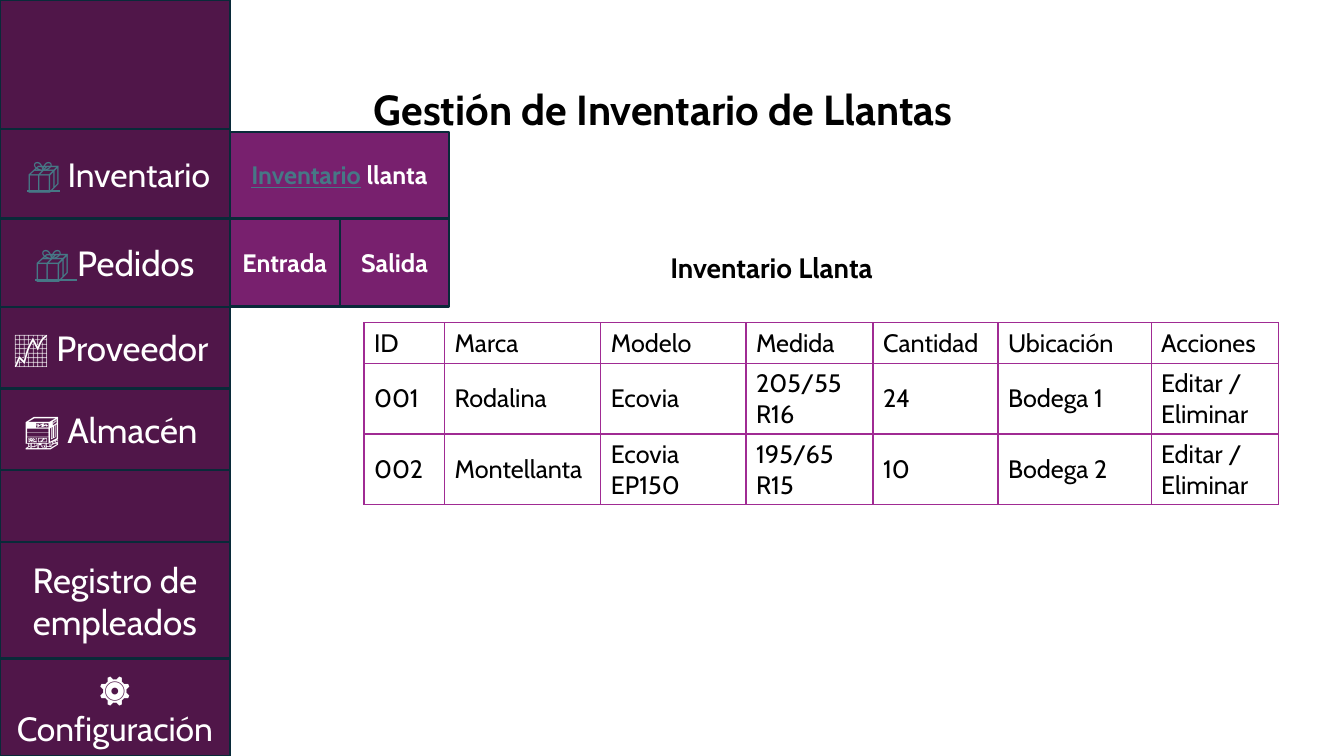
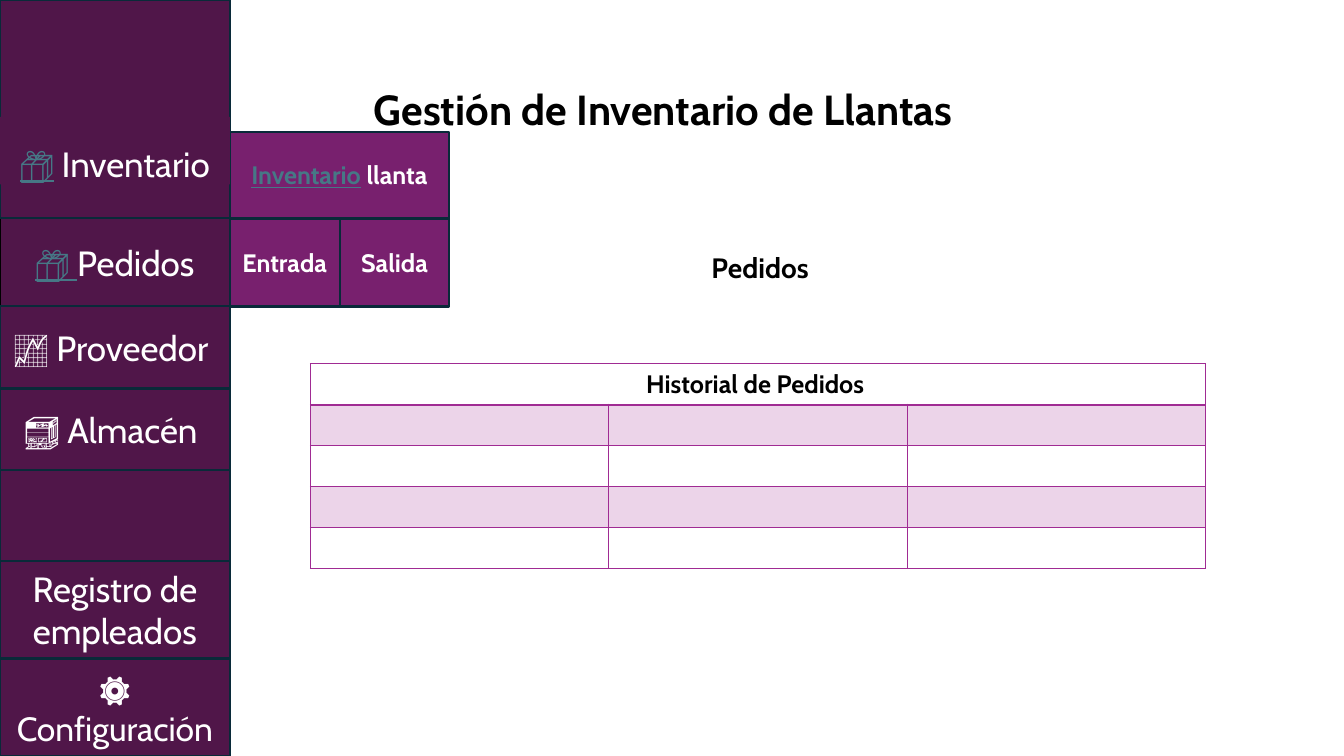
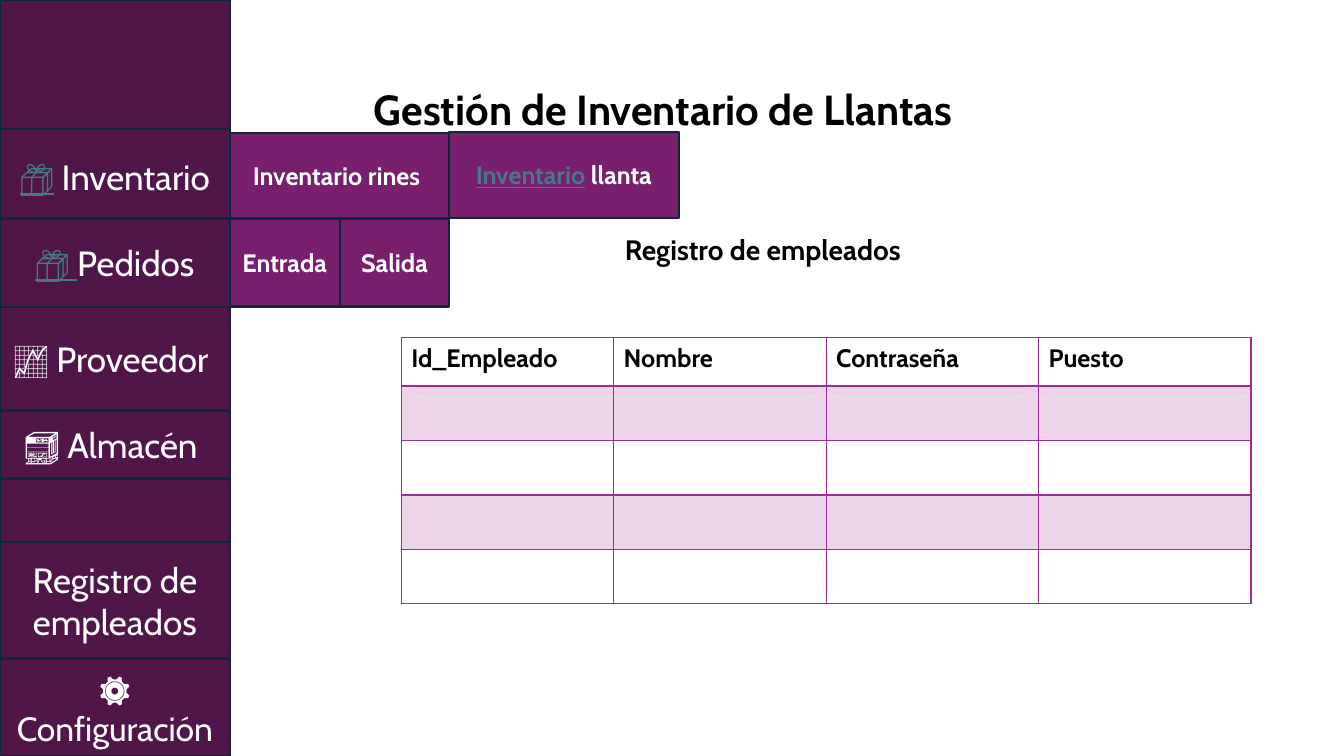
import lxml.etree
import pptx
import pptx.dml.color
import pptx.enum.shapes
import pptx.enum.text
import pptx.oxml.ns
import pptx.util

RGB = pptx.dml.color.RGBColor
Pt = pptx.util.Pt
qn = pptx.oxml.ns.qn
ALIGN = pptx.enum.text.PP_ALIGN
ANCHOR = pptx.enum.text.MSO_ANCHOR
GROW = pptx.enum.text.MSO_AUTO_SIZE.SHAPE_TO_FIT_TEXT
RECT = pptx.enum.shapes.MSO_SHAPE.RECTANGLE

BLACK = RGB(0x00, 0x00, 0x00)
WHITE = RGB(0xFF, 0xFF, 0xFF)
PLUM = RGB(0x50, 0x16, 0x49)
GRAPE = RGB(0x78, 0x20, 0x6E)
NAVY = RGB(0x09, 0x2A, 0x39)
TEAL = RGB(0x46, 0x78, 0x86)
PINK = RGB(0xA0, 0x2B, 0x93)

FACE = "Cabin"
TITLE = {"size": Pt(30), "bold": True, "color": BLACK}
HEAD = {"size": Pt(20), "bold": True, "color": BLACK}
CELL = {"size": Pt(18), "bold": False, "color": BLACK}
LABEL = {**CELL, "bold": True}
MENU = {"size": Pt(25), "color": WHITE}
SMALL = {**MENU, "size": Pt(24)}
LINK = {**MENU, "color": TEAL, "underline": True}
TAB = {"size": Pt(18), "bold": True, "color": WHITE}
TABLINK = {**TAB, "color": TEAL, "underline": True}

# All lengths are percent of the slide's width or height.
SIDE = 17.1
BOX = [("📦", LINK), (" Inventario", MENU)]
TIRE = [("Inventario", TABLINK), (" llanta", TAB)]
ORDERS = [("📦 ", LINK), ("Pedidos", MENU)]
VENDOR = [("📈 Proveedor ", MENU)]
STORE = [("🏬 Almacén ", MENU)]
STAFF = [("Registro de empleados", MENU)]
SETUP = [("⚙️ ", MENU), ("Configuración", SMALL)]


class Deck:
    def __init__(self):
        self.file = pptx.Presentation()
        self.file.slide_width = pptx.util.Inches(13.33)
        self.file.slide_height = pptx.util.Inches(7.5)
        self.page = None

    def wide(self, share):
        return round(self.file.slide_width * share / 100)

    def high(self, share):
        return round(self.file.slide_height * share / 100)

    def area(self, left, top, width, height):
        return self.wide(left), self.high(top), self.wide(width), self.high(height)

    def fill(self, frame, runs, align=ALIGN.LEFT, space=None):
        frame.word_wrap = True
        par = frame.paragraphs[0]
        par.alignment = align
        if space:
            par.line_spacing = space
        for text, form in runs:
            run = par.add_run()
            run.text = text
            run.font.name = FACE
            for name, value in form.items():
                if name == "color":
                    run.font.color.rgb = value
                else:
                    setattr(run.font, name, value)

    def text(self, area, runs, **form):
        box = self.page.shapes.add_textbox(*self.area(*area))
        self.fill(box.text_frame, runs, **form)
        box.text_frame.auto_size = GROW
        return box

    def block(self, area, runs=(), color=PLUM, line=NAVY):
        box = self.page.shapes.add_shape(RECT, *self.area(*area))
        box.shadow.inherit = False
        box.fill.solid()
        box.fill.fore_color.rgb = color
        box.line.color.rgb = line
        box.line.width = Pt(1.5)
        box.text_frame.vertical_anchor = ANCHOR.MIDDLE
        self.fill(box.text_frame, runs, ALIGN.CENTER)

    def tab(self, area, runs):
        self.block(area, runs, GRAPE)

    def start(self, first, edges, staff, rim=NAVY):
        """Open a slide with its title, side menu and the two order tabs."""
        self.page = self.file.slides.add_slide(self.file.slide_layouts[6])
        self.text((27.08, 10.4, 47.7, 8.13), [("Gestión de Inventario de Llantas", TITLE)])
        self.block((0, 0, SIDE, 100))
        a, b, c, d, e = edges
        rows = [(b, c, ORDERS, rim), (c, d, VENDOR, NAVY), (d, e, STORE, NAVY),
                (staff, 87.1, STAFF, NAVY), (87.1, 100, SETUP, NAVY), (a, b, first, NAVY)]
        for top, end, runs, line in rows:
            self.block((0, top, SIDE, end - top), runs, line=line)
        for col, name in enumerate(("Entrada", "Salida")):
            self.tab((SIDE + 8.17 * col, 28.9, 8.17, 11.65), [(name, TAB)])

    def entry(self, top):
        """Place the inventory entry as a text box of its own."""
        return self.text((0, top, SIDE, 8.93), BOX, align=ALIGN.CENTER, space=1.5)

    def edge(self, cell, widths):
        for side, width in zip("LRTB", widths):
            line = lxml.etree.SubElement(cell._tc.get_or_add_tcPr(), qn(f"a:ln{side}"), w=str(Pt(width)))
            solid = lxml.etree.SubElement(line, qn("a:solidFill"))
            lxml.etree.SubElement(solid, qn("a:srgbClr"), val=str(PINK))

    def shade(self, cell, tinted):
        if not tinted:
            cell.fill.background()
            return
        cell.fill.solid()
        cell.fill.fore_color.rgb = PINK
        tint = cell._tc.tcPr.find(qn("a:solidFill"))[0]
        lxml.etree.SubElement(tint, qn("a:alpha"), val="20000")

    def table(self, left, top, cols, rows, data, form=CELL, anchor=ANCHOR.TOP,
              align=ALIGN.LEFT, band=True):
        """Draw a table; band tints odd rows and thickens the header rule."""
        area = self.area(left, top, sum(cols), sum(rows))
        grid = self.page.shapes.add_table(len(rows), len(cols), *area).table
        grid.first_row = grid.horz_banding = False
        for col, share in zip(grid.columns, cols):
            col.width = self.wide(share)
        for r, (row, share) in enumerate(zip(grid.rows, rows)):
            row.height = self.high(share)
            for cell in row.cells:
                cell.vertical_anchor = anchor
                self.edge(cell, (1, 1, 2 if band and r == 1 else 1, 2 if band and r == 0 else 1))
                self.shade(cell, band and r % 2)
        for r, line in enumerate(data):
            for c, text in enumerate(line):
                self.fill(grid.cell(r, c).text_frame, [(text, form)], align)
        return grid


def stock(deck):
    deck.start([(" ", SMALL), ("📦", {**LINK, "size": Pt(24)}), (" Inventario", SMALL)],
               (17.1, 28.9, 40.6, 51.4, 62.2), 71.7)
    deck.tab((SIDE, 17.47, 16.3, 11.33), TIRE)
    deck.text((49.13, 32.53, 19.13, 5.87), [("Inventario Llanta", HEAD)])
    deck.table(27.08, 42.67, (6, 11.63, 10.8, 9.45, 9.3, 11.4, 9.45), (5.4, 9.3, 9.3), [
        ("ID", "Marca", "Modelo", "Medida", "Cantidad", "Ubicación", "Acciones"),
        ("001", "Rodalina", "Ecovia", "205/55 R16", "24", "Bodega 1", "Editar / Eliminar"),
        ("002", "Montellanta", "Ecovia EP150", "195/65 R15", "10", "Bodega 2", "Editar / Eliminar"),
    ], anchor=ANCHOR.MIDDLE, band=False)


def orders(deck):
    deck.start([], (17.1, 28.9, 40.5, 51.4, 62.2), 74.2, BLACK)
    deck.tab((SIDE, 17.47, 16.3, 11.33), TIRE)
    entry = deck.entry(15.47)
    entry.fill.solid()
    entry.fill.fore_color.rgb = PLUM
    deck.text((52.2, 32.53, 16.05, 5.87), [("Pedidos", HEAD)])
    grid = deck.table(23.1, 48.13, [22.2] * 3, [5.42] * 5, [("Historial de Pedidos ",)],
                      LABEL, align=ALIGN.CENTER)
    grid.cell(0, 0).merge(grid.cell(0, 2))


def staff(deck):
    deck.start([], (17.1, 28.9, 40.6, 54.3, 63.3), 71.7)
    deck.tab((SIDE, 17.6, 16.3, 11.3), [("Inventario rines ", TAB)])
    deck.tab((SIDE + 16.3, 17.47, SIDE, 11.33), TIRE)
    deck.entry(17.1)
    deck.text((45.75, 30.13, 24.23, 5.87), [("Registro de empleados", HEAD)])
    deck.table(29.85, 44.67, [15.81] * 4, [6.4] + [7.2] * 4,
               [("Id_Empleado", "Nombre", "Contraseña", "Puesto")], LABEL)


def main():
    deck = Deck()
    for build in (stock, orders, staff):
        build(deck)
    deck.file.save("out.pptx")


if __name__ == "__main__":
    main()
